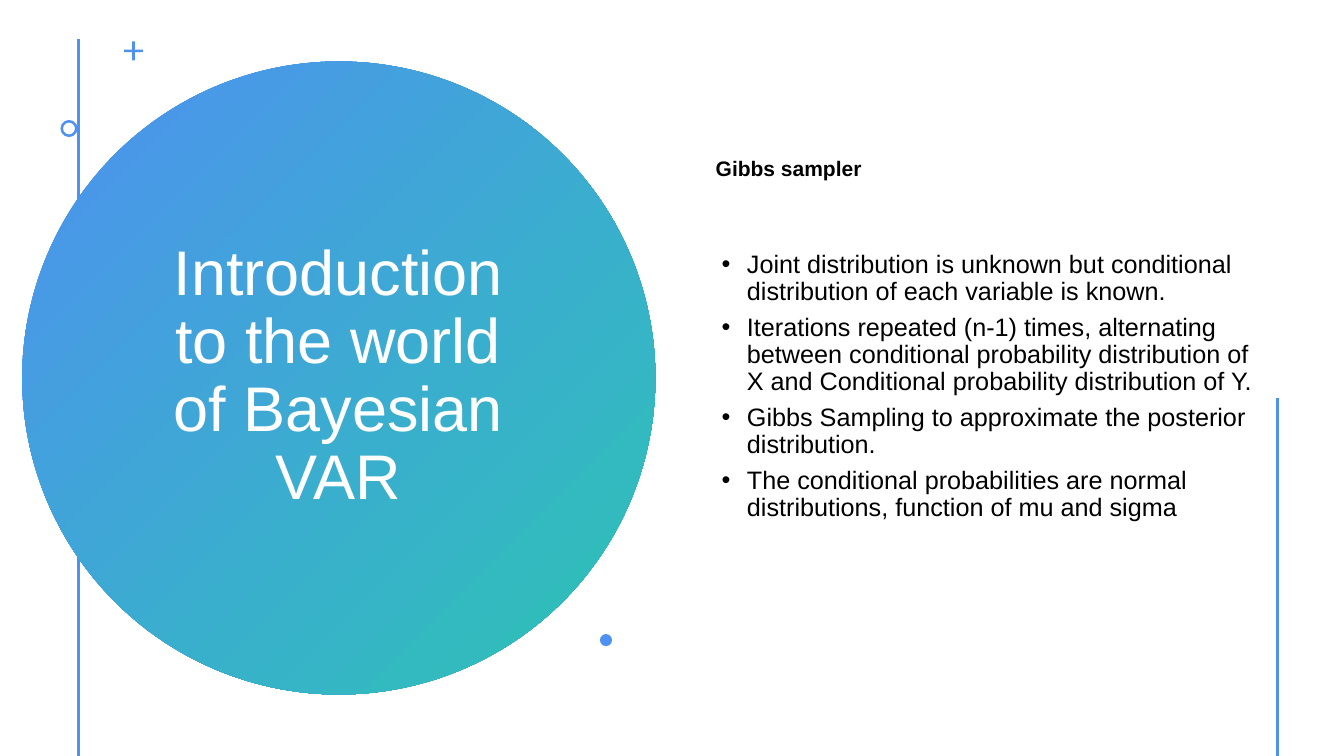
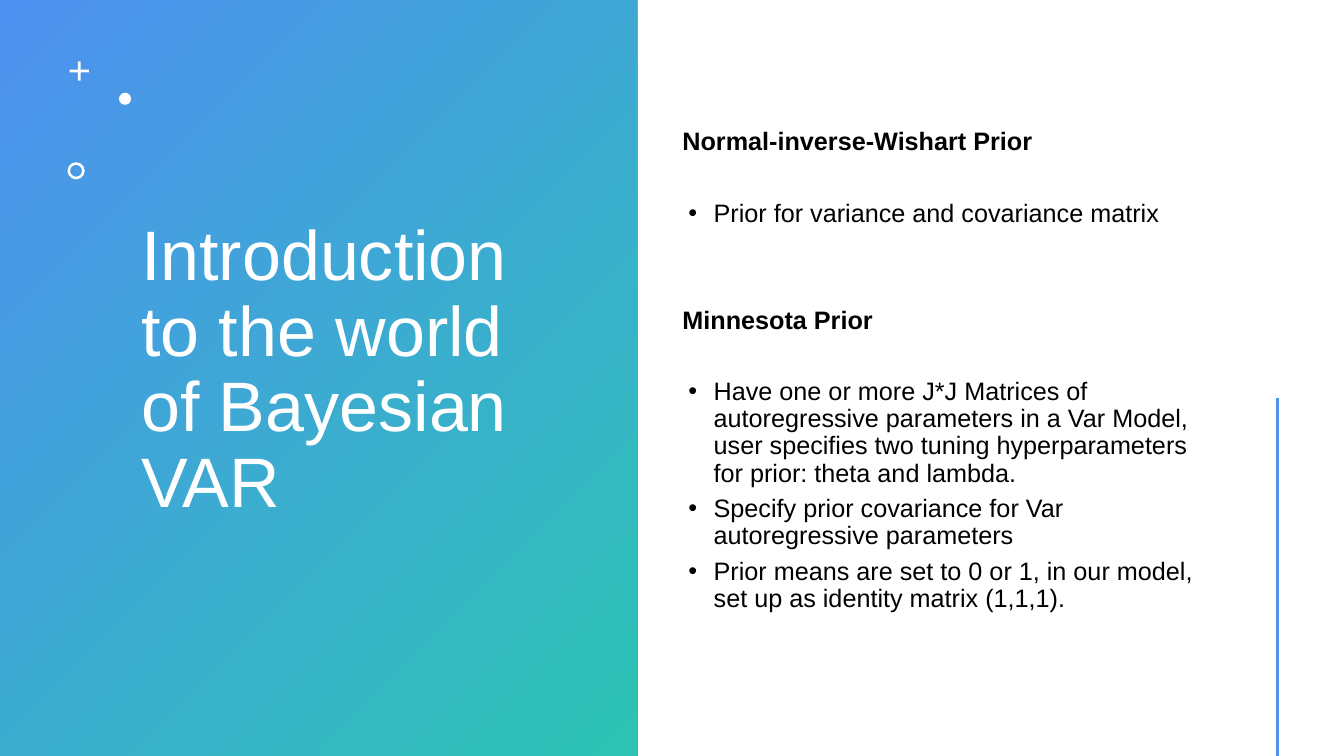
import pptx
import pptx.util
import pptx.dml.color
import pptx.enum.shapes
import pptx.enum.text
import lxml.etree

Inches, Pt = pptx.util.Inches, pptx.util.Pt
SHAPE = pptx.enum.shapes.MSO_SHAPE
ALIGN = pptx.enum.text.PP_ALIGN
COLORS = {name: pptx.dml.color.RGBColor.from_string(value) for name, value in
          {"blue": "4E91F0", "teal": "2CC3B4", "white": "FFFFFF", "black": "000000"}.items()}
FONT = "Arial"
TITLE = "Introduction to the world of Bayesian VAR"
WIDTH, HEIGHT = 13.33, 7.5
LINE_SPACING, SPACE_AFTER = 0.9, 6
# Ornament kinds: preset, size in inches, adjustment
ORNAMENTS = {"plus": (SHAPE.CROSS, 0.19, 0.43),
             "ring": (SHAPE.DONUT, 0.17, 0.15),
             "dot": (SHAPE.OVAL, 0.12, None)}

# Each topic: heading, heading size, space before heading, space before bullets, bullets
SLIDES = [
    {"panel": (SHAPE.OVAL, 0.22, 0.61, 6.28, 6.28),
     "title": (1.36, 1.41, 3.99, 4.67), "title_size": 45, "title_align": ALIGN.CENTER,
     "rules": [(0.78, 0.39), (12.67, 3.95)],
     "ornament_color": "blue",
     "ornaments": [("plus", 1.23, 0.41), ("ring", 0.6, 1.19), ("dot", 5.95, 6.29)],
     "body": (7, 1.52, 5.55, 4.2),
     "topics": [("Gibbs sampler", 15, 0, 44.5, [
         "Joint distribution is unknown but conditional distribution of each variable is known.",
         "Iterations repeated (n-1) times, alternating between conditional probability "
         "distribution of X and Conditional probability distribution of Y.",
         "Gibbs Sampling to approximate the posterior distribution.",
         "The conditional probabilities are normal distributions, function of mu and sigma"])]},
    {"panel": (SHAPE.RECTANGLE, 0, 0, 6.32, HEIGHT),
     "title": (1.3, 0.42, 4.38, 6.53), "title_size": 50, "title_align": ALIGN.LEFT,
     "rules": [(12.67, 3.95)],
     "ornament_color": "white",
     "ornaments": [("plus", 0.69, 0.61), ("dot", 1.18, 0.92), ("ring", 0.67, 1.61)],
     "body": (6.67, 1.23, 5.45, 5),
     "topics": [
         ("Normal-inverse-Wishart Prior", 18, 0, 25.5, [
             "Prior for variance and covariance matrix"]),
         ("Minnesota Prior", 18, 51, 25.5, [
             "Have one or more J*J Matrices of autoregressive parameters in a Var Model, "
             "user specifies two tuning hyperparameters for prior: theta and lambda.",
             "Specify prior covariance for Var autoregressive parameters",
             "Prior means are set to 0 or 1, in our model, set up as identity matrix (1,1,1)."])]},
]


def add_plain_shape(slide, preset, left, top, width, height):
    shape = slide.shapes.add_shape(preset, Inches(left), Inches(top), Inches(width), Inches(height))
    shape.shadow.inherit = False
    shape.line.fill.background()
    return shape


def format_paragraph(paragraph, text, size, color, bold=False, before=0, bullet=False):
    paragraph.text = text
    paragraph.line_spacing = LINE_SPACING
    paragraph.space_before = Pt(before)
    if bullet:
        properties = paragraph._p.get_or_add_pPr()
        properties.set("marL", str(Inches(0.31)))
        properties.set("indent", str(Inches(-0.25)))
        for tag, key, value in (("buFont", "typeface", FONT), ("buChar", "char", "•")):
            lxml.etree.SubElement(properties, pptx.oxml.ns.qn("a:" + tag)).set(key, value)
    paragraph.font.name = FONT
    paragraph.font.size = Pt(size)
    paragraph.font.bold = bold
    paragraph.font.color.rgb = COLORS[color]


deck = pptx.Presentation()
deck.slide_width, deck.slide_height = Inches(WIDTH), Inches(HEIGHT)
title_only = deck.slide_layouts[5]

for content in SLIDES:
    slide = deck.slides.add_slide(title_only)

    # Vertical rules running to the bottom edge
    for x, top in content["rules"]:
        rule = slide.shapes.add_connector(pptx.enum.shapes.MSO_CONNECTOR.STRAIGHT,
                                          Inches(x), Inches(top), Inches(x), Inches(HEIGHT))
        rule.line.color.rgb = COLORS["blue"]
        rule.line.width = Pt(2)
        lxml.etree.SubElement(rule._element.spPr, pptx.oxml.ns.qn("a:effectLst"))

    # Gradient panel
    panel = add_plain_shape(slide, *content["panel"])
    panel.fill.gradient()
    panel.fill.gradient_angle = 315
    for stop, position, color in zip(panel.fill.gradient_stops, (0, 1), ("blue", "teal")):
        stop.position = position
        stop.color.rgb = COLORS[color]

    # Title, raised above the panel
    title = slide.shapes.title
    slide.shapes._spTree.append(title._element)
    title.left, title.top, title.width, title.height = map(Inches, content["title"])
    title.text_frame.auto_size = pptx.enum.text.MSO_AUTO_SIZE.NONE
    title.text_frame.vertical_anchor = pptx.enum.text.MSO_ANCHOR.MIDDLE
    heading = title.text_frame.paragraphs[0]
    format_paragraph(heading, TITLE, content["title_size"], "white")
    heading.alignment = content["title_align"]

    # Small ornaments
    for kind, left, top in content["ornaments"]:
        preset, size, adjustment = ORNAMENTS[kind]
        ornament = add_plain_shape(slide, preset, left, top, size, size)
        ornament.fill.solid()
        ornament.fill.fore_color.rgb = COLORS[content["ornament_color"]]
        if adjustment is not None:
            ornament.adjustments[0] = adjustment

    # Topics with their bullets
    body = slide.shapes.add_textbox(*map(Inches, content["body"])).text_frame
    body.word_wrap = True
    paragraph = body.paragraphs[0]
    for number, (topic, size, before, gap, bullets) in enumerate(content["topics"]):
        if number:
            paragraph = body.add_paragraph()
        format_paragraph(paragraph, topic, size, "black", bold=True, before=before)
        for index, text in enumerate(bullets):
            format_paragraph(body.add_paragraph(), text, 18, "black",
                             before=0 if index else gap, bullet=True)
    for paragraph in body.paragraphs:
        paragraph.space_after = Pt(SPACE_AFTER)

deck.save("out.pptx")
